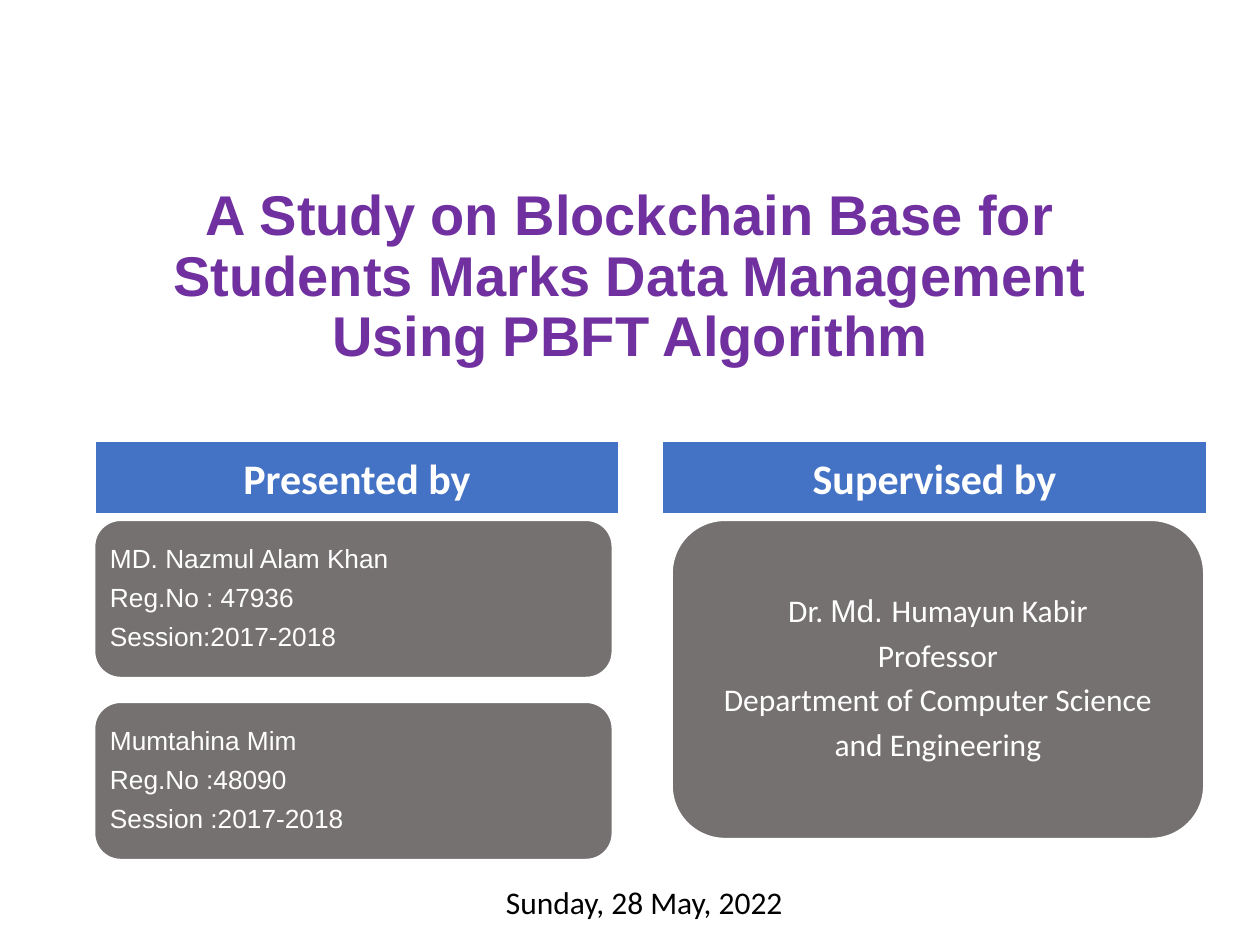
from pptx import Presentation
from pptx.dml.color import RGBColor
from pptx.enum.shapes import MSO_SHAPE as Kind
from pptx.enum.text import MSO_ANCHOR as Anchor, MSO_AUTO_SIZE as Fit, PP_ALIGN as Align
from pptx.util import Pt

WHITE, BLUE, GRAY, PURPLE, BLACK = "FFFFFF", "4472C4", "767171", "7030A0", "000000"


def color(code):
    """Turn a hex string into a colour."""
    return RGBColor.from_string(code)


def write(frame, lines, size, font="Calibri", fill=WHITE, bold=False,
          align=Align.CENTER, lead=None, after=None, inset=None, wrap=True):
    """Write lines into a frame; a line is a string or a list of (text, font)."""
    frame.word_wrap = wrap
    frame.auto_size = Fit.NONE if wrap else Fit.SHAPE_TO_FIT_TEXT
    frame.vertical_anchor = Anchor.MIDDLE if wrap else Anchor.TOP
    if inset is not None:
        frame.margin_left = frame.margin_right = Pt(inset)
        frame.margin_top = frame.margin_bottom = Pt(inset)
    for i, line in enumerate(lines):
        para = frame.add_paragraph() if i else frame.paragraphs[0]
        para.alignment, para.line_spacing = align, lead
        if after is not None:
            para.space_after = Pt(after)
        for text, face in [(line, font)] if isinstance(line, str) else line:
            run = para.add_run()
            run.text = text
            run.font.name, run.font.size, run.font.bold = face, Pt(size), bold
            run.font.color.rgb = color(fill)


def block(slide, kind, box, fill, width):
    """Add a filled shape with a white outline and return its text frame."""
    shape = slide.shapes.add_shape(kind, *map(Pt, box))
    shape.shadow.inherit = False
    shape.fill.solid()
    shape.fill.fore_color.rgb = color(fill)
    shape.line.color.rgb = color(WHITE)
    shape.line.width = Pt(width)
    return shape.text_frame


def heading(slide, box, text):
    """Place the slide title in its box."""
    title = slide.shapes.title
    title.left, title.top, title.width, title.height = map(Pt, box)
    write(title.text_frame, [text], 32, "Arial", PURPLE, bold=True, lead=0.9)


def banner(slide, box, text):
    """Place a blue column header."""
    write(block(slide, Kind.RECTANGLE, box, BLUE, 1.5), [text], 24, bold=True)


def card(slide, box, lines, size, **style):
    """Place a gray rounded card with its lines."""
    frame = block(slide, Kind.ROUNDED_RECTANGLE, box, GRAY, 1)
    write(frame, lines, size, lead=0.9, after=6, **style)


def authors(slide, box, people):
    """Stack one card per author down the box."""
    left, top, width, height = box
    tall, gap = 90, 14
    step = tall + gap
    for i, lines in enumerate(people):
        card(slide, (left, top + i * step, width, tall), lines, 15,
             font="Arial", align=Align.LEFT, inset=4.5)


def footer(slide, box, text):
    """Place the date line."""
    frame = slide.shapes.add_textbox(*map(Pt, box)).text_frame
    write(frame, [text], 18, fill=BLACK, align=Align.LEFT, wrap=False)


def main():
    """Build the title slide and save it."""
    deck = Presentation()
    deck.slide_width, deck.slide_height = Pt(720), Pt(540)
    slide = deck.slides.add_slide(deck.slide_layouts[5])
    heading(slide, (54, 90, 612, 138),
            "A Study on Blockchain Base for Students Marks Data Management Using PBFT Algorithm")
    banner(slide, (54, 252, 300, 42), "Presented by")
    banner(slide, (378, 252, 312, 42), "Supervised by")
    authors(slide, (54, 297.25, 296, 194), [
        ["MD. Nazmul Alam Khan", "Reg.No : 47936", "Session:2017-2018"],
        ["Mumtahina Mim", "Reg.No :48090", "Session :2017-2018"],
    ])
    card(slide, (384, 297.25, 304, 182), [
        [("Dr. ", "Calibri"), ("Md. ", "Arial"), ("Humayun Kabir", "Calibri")],
        "Professor", "Department of Computer Science", "and Engineering",
    ], 18, inset=5)
    footer(slide, (282, 501, 174, 29), "Sunday, 28 May, 2022")
    deck.save("out.pptx")


if __name__ == "__main__":
    main()
